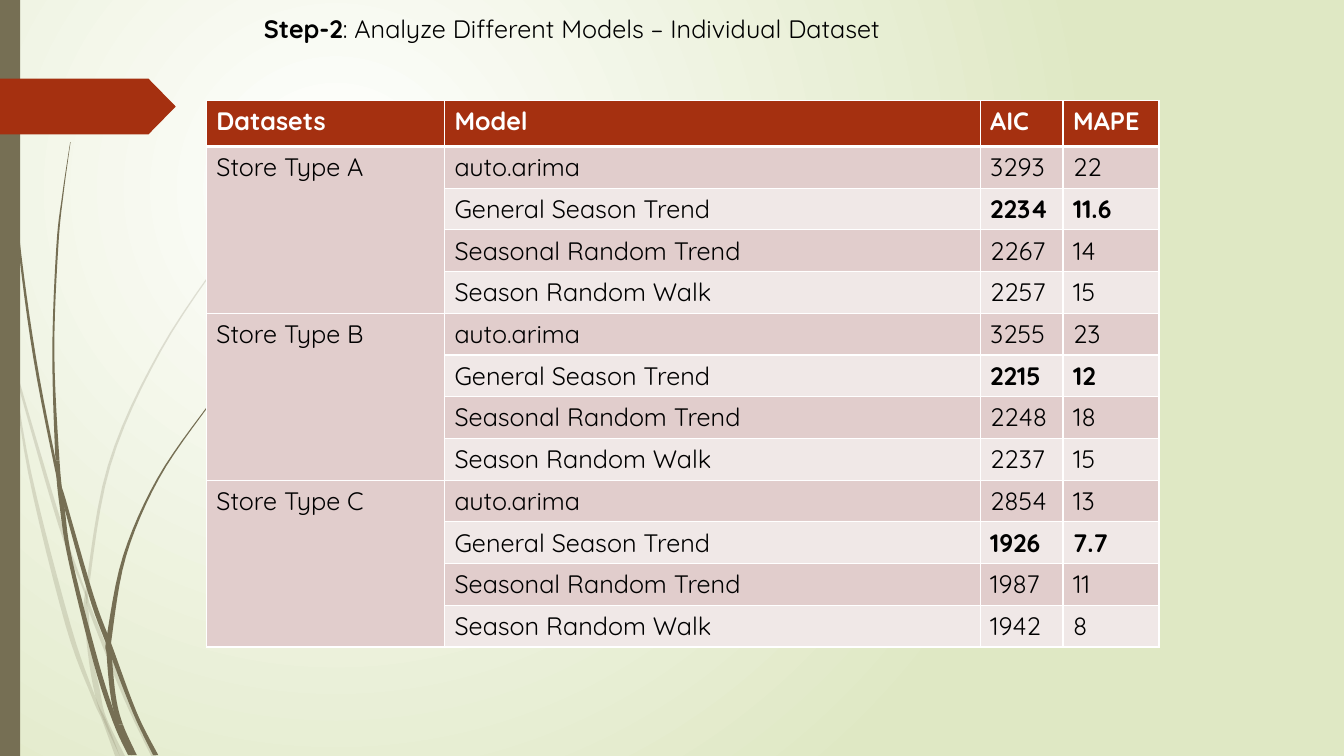
from lxml.etree import SubElement
from pptx import Presentation
from pptx.dml.color import RGBColor
from pptx.enum.shapes import MSO_SHAPE
from pptx.oxml import parse_xml
from pptx.oxml.ns import nsdecls, qn
from pptx.util import Cm, Pt

# Content
TITLE = [("Step-2", True), (": Analyze Different Models – Individual Dataset", False)]
HEADS = ["Datasets", "Model", "AIC", "MAPE"]
MODELS = ["auto.arima", "General Season Trend",
          "Seasonal Random Trend", "Season Random Walk"]
BEST = "General Season Trend"
STORES = {
    "Store Type A": [("3293", "22"), ("2234", "11.6"), ("2267", "14"), ("2257", "15")],
    "Store Type B": [("3255", "23"), ("2215", "12"), ("2248", "18"), ("2237", "15")],
    "Store Type C": [("2854", "13"), ("1926", "7.7"), ("1987", "11"), ("1942", "8")],
}

# Colours and table sizes in cm
RUST, OLIVE, WHITE, BLACK = "A53010", "766F54", "FFFFFF", "000000"
BANDS = ["F0E8E7", "E1CDCC"]
WIDTHS = [6, 13.5, 2.09, 2.42]
HEAD_H, ROW_H = 1.16, 1.05

# Grass blades: joints between leaf parts, then left edge, right edge and height in cm
PALE = [
    ([1, 4], [(0, 0, 7.16), (.2, .28, 8.76), (.4, .46, 9.5), (1.47, 1.57, 13.23),
              (2.13, 2.18, 14.95), (2.25, 2.34, 15.42), (3.12, 3.23, 17.6),
              (3.81, 3.94, 19.05)]),
    ([4], [(.28, .28, 8.89), (.71, .79, 11.92), (1.65, 1.78, 15.75),
           (2.33, 2.42, 17.6), (2.57, 2.67, 18.14), (2.9, 3.02, 19.05)]),
    ([5, 6, 9], [(7.92, 7.93, 3.89), (6.8, 6.82, 5.02), (5.79, 5.82, 6.21),
                 (4.01, 4.06, 8.85), (2.72, 2.79, 11.72), (2.16, 2.24, 14.83),
                 (2.13, 2.24, 15.49), (2.21, 2.31, 16.41), (2.36, 2.51, 17.35),
                 (2.57, 2.67, 18.06), (3.02, 3.15, 19.05)]),
]
DARK = [
    ([4, 7], [(.08, .1, 0), (.18, .2, 2.79), (.43, .48, 5.92), (.84, .91, 9.02),
              (1.4, 1.47, 11.9), (1.57, 1.66, 12.6), (2.24, 2.36, 15.01),
              (2.69, 2.82, 16.26), (3.35, 3.45, 17.96), (3.86, 3.99, 19.03)]),
    ([4, 5, 8], [(1.77, 1.78, 3.58), (1.57, 1.6, 4.9), (1.42, 1.47, 6.22),
                 (1.32, 1.37, 8.86), (1.4, 1.5, 11.6), (1.51, 1.63, 12.8),
                 (1.73, 1.83, 14.15), (2.36, 2.49, 16.71), (2.85, 2.97, 18.2),
                 (3.23, 3.33, 19.03)]),
    ([5, 6, 8], [(6.6, 6.63, 8.74), (5.85, 5.88, 9.49), (5.18, 5.21, 10.3),
                 (3.96, 4.01, 12.06), (3.1, 3.18, 14.01), (2.69, 2.82, 16.05),
                 (2.69, 2.82, 16.51), (2.79, 2.92, 17.55), (2.97, 3.1, 18.26),
                 (3.3, 3.45, 19.03)]),
]
STEPS = 6


def rgb(code):
    return RGBColor.from_string(code)


def write(para, text, size=18, font="Quicksand", color=BLACK, bold=False):
    run = para.add_run()
    run.text = text
    face = run.font
    face.size, face.name, face.bold = Pt(size), font, bold
    face.color.rgb = rgb(color)


def paint(shape, color, alpha=None):
    shape.shadow.inherit = False
    shape.fill.solid()
    shape.fill.fore_color.rgb = rgb(color)
    shape.line.fill.background()
    if alpha:
        tint = shape._element.spPr.find(".//" + qn("a:srgbClr"))
        SubElement(tint, qn("a:alpha"), val=str(alpha * 1000))


def smooth(knots):
    """Pass a Catmull-Rom curve through the knots."""
    ends = [knots[0], *knots, knots[-1]]
    out = []
    for a, b, c, d in zip(ends, ends[1:], ends[2:], ends[3:]):
        for i in range(STEPS):
            t = i / STEPS
            out.append([q + t * (r - p + t * (2*p - 5*q + 4*r - s
                        + t * (3*q - p - 3*r + s))) / 2
                        for p, q, r, s in zip(a, b, c, d)])
    return out + [knots[-1]]


def blade(joints, knots, alpha=None):
    curve = smooth(knots)
    stops = [0, *joints, len(knots) - 1]
    for a, b in zip(stops, stops[1:]):
        part = curve[a * STEPS:b * STEPS + 1]
        left = [(Cm(x), Cm(y)) for x, _, y in part]
        right = [(Cm(x), Cm(y)) for _, x, y in reversed(part)]
        pen = slide.shapes.build_freeform(*left[0])
        pen.add_line_segments(left[1:] + right)
        paint(pen.convert_to_shape(), OLIVE, alpha)


def edge(cell, low=1):
    props = cell._tc.get_or_add_tcPr()
    for i, (side, width) in enumerate([("L", 1), ("R", 1), ("T", 1), ("B", low)]):
        props.insert(i, parse_xml(
            f'<a:ln{side} {nsdecls("a")} w="{Pt(width)}"><a:solidFill>'
            f'<a:srgbClr val="{WHITE}"/></a:solidFill></a:ln{side}>'))


def fill(cell, text, back, low=1, **style):
    cell.fill.solid()
    cell.fill.fore_color.rgb = rgb(back)
    edge(cell, low)
    if text:
        write(cell.text_frame.paragraphs[0], text, **style)


deck = Presentation()
deck.slide_width, deck.slide_height = Cm(33.87), Cm(19.05)
slide = deck.slides.add_slide(deck.slide_layouts[6])

# Background glow
slide._element.cSld.insert(0, parse_xml(
    f'<p:bg {nsdecls("p", "a")}><p:bgPr><a:gradFill><a:gsLst>'
    '<a:gs pos="0"><a:srgbClr val="FFFFFF"/></a:gs>'
    '<a:gs pos="100000"><a:srgbClr val="DFE8C4"/></a:gs></a:gsLst>'
    '<a:path path="circle"><a:fillToRect l="50000" t="50000" r="100000" b="100000"/>'
    '</a:path></a:gradFill><a:effectLst/></p:bgPr></p:bg>'))

# Grass, side bar and tag
for joints, knots in PALE:
    blade(joints, knots, alpha=20)
for joints, knots in DARK:
    blade(joints, knots)
bar = slide.shapes.add_shape(MSO_SHAPE.RECTANGLE, 0, 0, Cm(.51), Cm(19.05))
paint(bar, OLIVE)
tag = slide.shapes.add_shape(MSO_SHAPE.PENTAGON, 0, Cm(1.98), Cm(4.43), Cm(1.41))
tag.adjustments[0] = .49
paint(tag, RUST)

# Table
rows = [(store if not i else "", model, *pair)
        for store, pairs in STORES.items()
        for i, (model, pair) in enumerate(zip(MODELS, pairs))]
grid = slide.shapes.add_table(
    len(rows) + 1, len(HEADS), Cm(5.2), Cm(2.53),
    Cm(sum(WIDTHS)), Cm(HEAD_H + ROW_H * len(rows))).table
grid.horz_banding = False
for col, width in zip(grid.columns, WIDTHS):
    col.width = Cm(width)
for i, row in enumerate(grid.rows):
    row.height = Cm(ROW_H if i else HEAD_H)
for j, head in enumerate(HEADS):
    fill(grid.cell(0, j), head, RUST, low=3, color=WHITE, bold=True)
for i, row in enumerate(rows, 1):
    for j, text in enumerate(row):
        fill(grid.cell(i, j), text, BANDS[i % 2 if j else 1],
             bold=j > 1 and row[1] == BEST)
step = len(MODELS)
for top in range(1, len(rows), step):
    grid.cell(top, 0).merge(grid.cell(top + step - 1, 0))

# Title
box = slide.shapes.add_textbox(Cm(6.4), Cm(.2), Cm(18.67), Cm(1.03))
box.text_frame.word_wrap = True
for text, bold in TITLE:
    write(box.text_frame.paragraphs[0], text, bold=bold)

deck.save("out.pptx")
